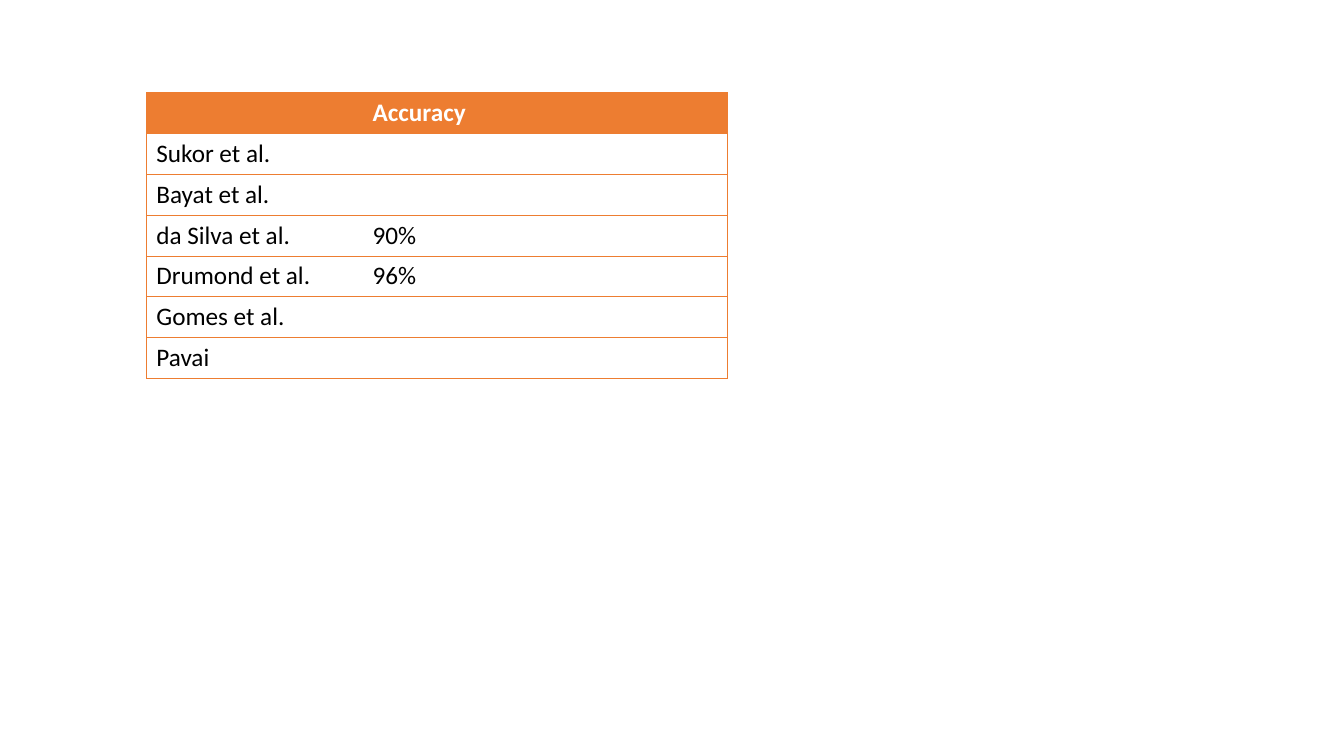
from dataclasses import dataclass

from lxml import etree
from pptx import Presentation
from pptx.dml.color import RGBColor
from pptx.oxml import ns
from pptx.util import Pt

ORANGE = RGBColor(0xED, 0x7D, 0x31)
WHITE = RGBColor(0xFF, 0xFF, 0xFF)
BLACK = RGBColor(0, 0, 0)

LEFT, TOP = 104.5, 66
WIDTHS = (154.5, 260.5)
HEIGHT = 29.2


@dataclass
class Study:
    name: str
    score: str = ""


STUDIES = [
    Study("Sukor et al."),
    Study("Bayat et al."),
    Study("da Silva et al.", "90%"),
    Study("Drumond et al.", "96%"),
    Study("Gomes et al."),
    Study("Pavai"),
]


def add_edge(cell, side: str, drawn: bool) -> None:
    props = cell._tc.get_or_add_tcPr()
    line = etree.SubElement(props, ns.qn(f"a:ln{side}"), w=str(Pt(0.5)))
    if drawn:
        fill = etree.SubElement(line, ns.qn("a:solidFill"))
        etree.SubElement(fill, ns.qn("a:srgbClr"), val=str(ORANGE))
    else:
        etree.SubElement(line, ns.qn("a:noFill"))


def fill_cell(cell, words: str, head: bool, first: bool) -> None:
    for side, drawn in (("L", first), ("R", not first), ("T", True), ("B", True)):
        add_edge(cell, side, drawn)
    if head:
        cell.fill.solid()
        cell.fill.fore_color.rgb = ORANGE
    else:
        cell.fill.background()
    if not words:
        return
    cell.text_frame.text = words
    font = cell.text_frame.paragraphs[0].runs[0].font
    font.name = "Calibri"
    font.size = Pt(18)
    font.bold = head
    font.color.rgb = WHITE if head else BLACK


def add_scores(slide, studies: list[Study]) -> None:
    rows = [Study("", "Accuracy"), *studies]
    frame = slide.shapes.add_table(
        len(rows), len(WIDTHS), Pt(LEFT), Pt(TOP),
        Pt(sum(WIDTHS)), Pt(HEIGHT * len(rows)))
    table = frame.table
    table.horz_banding = False
    for column, width in zip(table.columns, WIDTHS):
        column.width = Pt(width)
    for index, study in enumerate(rows):
        table.rows[index].height = Pt(HEIGHT)
        for place, words in enumerate((study.name, study.score)):
            fill_cell(table.cell(index, place), words, index == 0, place == 0)


def main() -> None:
    deck = Presentation()
    deck.slide_width, deck.slide_height = Pt(960), Pt(540)
    slide = deck.slides.add_slide(deck.slide_layouts[6])
    add_scores(slide, STUDIES)
    deck.save("out.pptx")


if __name__ == "__main__":
    main()
